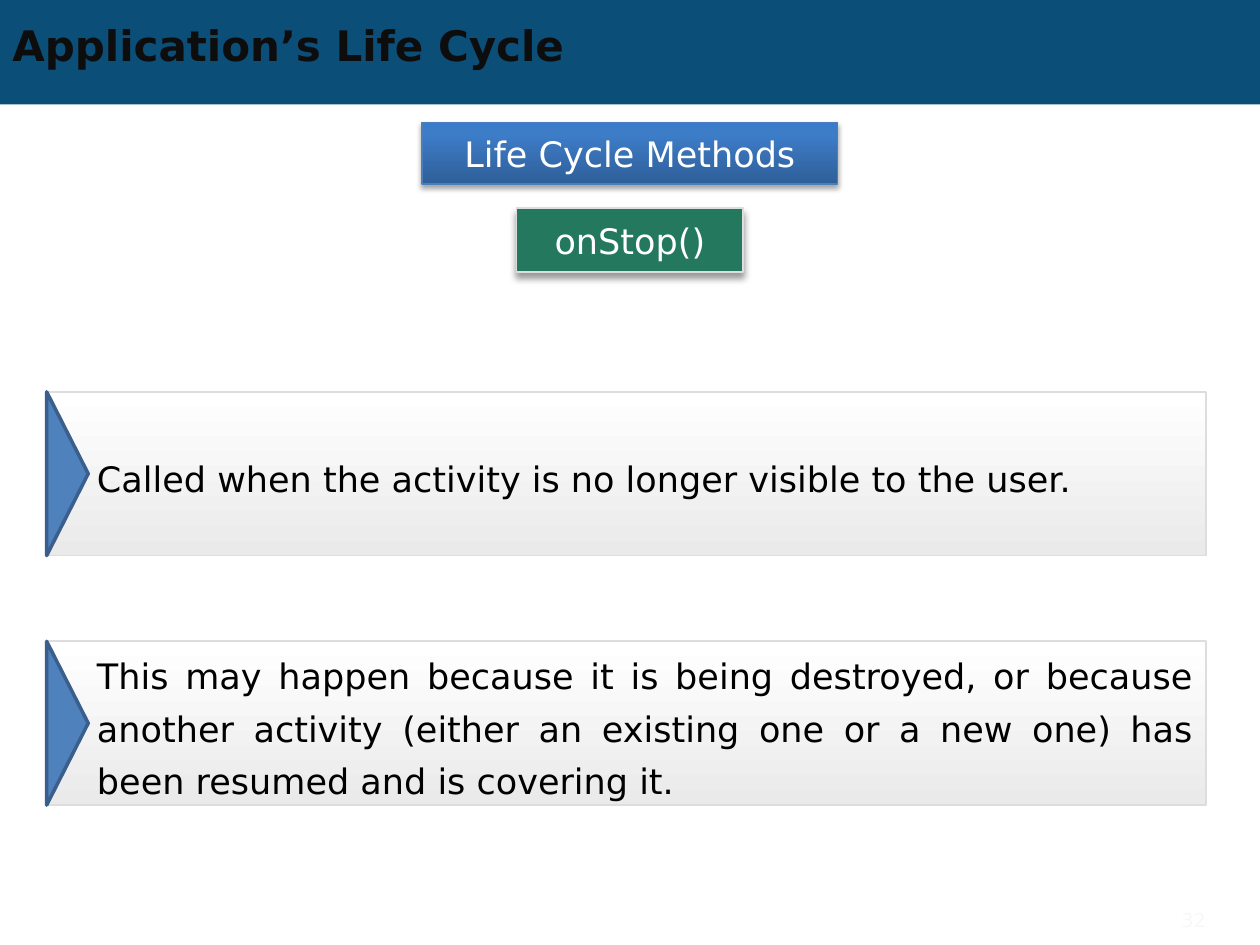
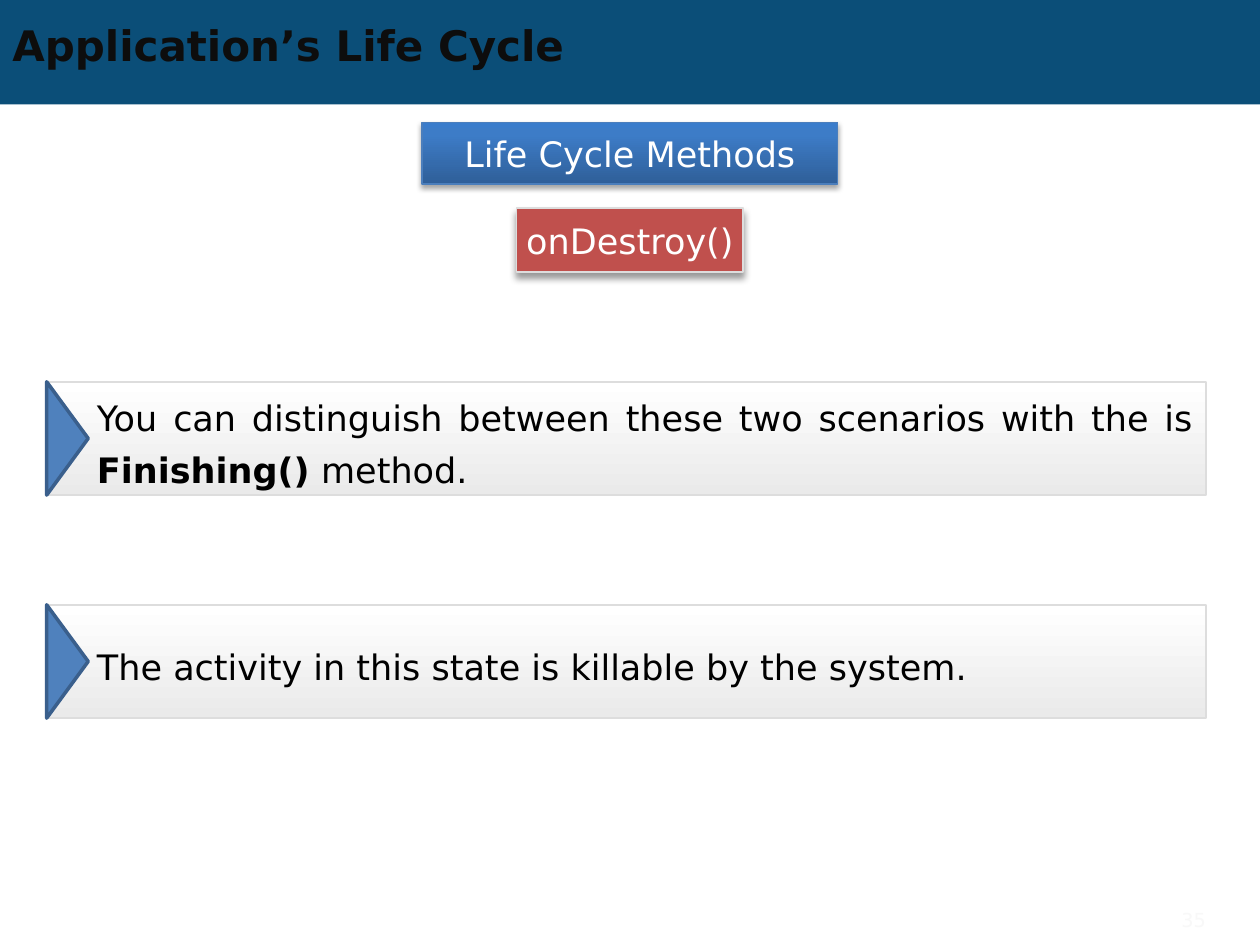
from dataclasses import dataclass

from lxml import etree
from pptx import Presentation
from pptx.dml.color import RGBColor
from pptx.enum import shapes, text
from pptx.oxml.ns import qn
from pptx.util import Inches, Pt

FONT = "DejaVu Sans"
BAND, TITLE, PAGE_NUMBER = "0B4E78", "0D0D0D", "F8F8F8"
WHITE, BLACK, GREY_LINE = "FFFFFF", "000000", "DDDDDD"
ARROW, ARROW_LINE = "4F81BD", "3A5F8C"
HEADING_LINE = "4B7EBC"
GREEN, RED = "24785E", "C0504D"
HEADING_STOPS = ((0, "2F5F99"), (80, "3D7CC7"), (100, "3A7CCB"))
PANEL_STOPS = ((0, "FFFFFF"), (100, "EAEAEA"))
PANEL_LEFT, PANEL_WIDTH, ARROW_DEPTH = 0.37, 9.2, 0.33
RECT = shapes.MSO_SHAPE.RECTANGLE
TRIANGLE = shapes.MSO_SHAPE.ISOSCELES_TRIANGLE
ALIGN = text.PP_ALIGN


@dataclass(frozen=True)
class Box:
    left: float
    top: float
    width: float
    height: float

    def emu(self) -> tuple:
        return tuple(Inches(v) for v in (self.left, self.top, self.width, self.height))


@dataclass(frozen=True)
class Shadow:
    opacity: int
    blur: float
    distance: float


@dataclass(frozen=True)
class Phrase:
    text: str
    bold: bool = False


@dataclass(frozen=True)
class Panel:
    top: float
    phrases: tuple


@dataclass(frozen=True)
class MethodSlide:
    method: str
    colour: str
    panel_height: float
    panels: tuple
    number: int


SLIDES = (
    MethodSlide("onStop()", GREEN, 1.3, (
        Panel(3.11, (Phrase("Called when the activity is no longer visible to the user."),)),
        Panel(5.09, (Phrase("This may happen because it is being destroyed, or because "
                            "another activity (either an existing one or a new one) has "
                            "been resumed and is covering it."),)),
    ), 32),
    MethodSlide("onDestroy()", RED, 0.9, (
        Panel(3.03, (Phrase("You can distinguish between these two scenarios with the is "),
                     Phrase("Finishing()", True), Phrase(" method."))),
        Panel(4.8, (Phrase("The activity in this state is killable by the system."),)),
    ), 35),
)


def rgb(colour: str) -> RGBColor:
    return RGBColor.from_string(colour)


def add_shape(parent, kind, box: Box, line: str | None = None, weight: float = 1):
    sp = parent.add_shape(kind, *box.emu())
    sp.shadow.inherit = False
    if line:
        sp.line.color.rgb = rgb(line)
        sp.line.width = Pt(weight)
    else:
        sp.line.fill.background()
    return sp


def fill_solid(sp, colour: str) -> None:
    sp.fill.solid()
    sp.fill.fore_color.rgb = rgb(colour)


def fill_gradient(sp, stops: tuple, angle: int) -> None:
    sp.fill.gradient()
    sp.fill.gradient_angle = angle
    stop_list = sp._element.spPr.find(qn("a:gradFill")).find(qn("a:gsLst"))
    for old in list(stop_list):
        stop_list.remove(old)
    for position, colour in stops:
        stop = etree.SubElement(stop_list, qn("a:gs"), pos=str(position * 1000))
        etree.SubElement(stop, qn("a:srgbClr"), val=colour)


def add_shadow(sp, shadow: Shadow) -> None:
    effects = sp._element.spPr.find(qn("a:effectLst"))
    outer = etree.SubElement(effects, qn("a:outerShdw"), blurRad=str(Pt(shadow.blur)),
                             dist=str(Pt(shadow.distance)), dir="5400000",
                             rotWithShape="0")
    colour = etree.SubElement(outer, qn("a:srgbClr"), val=BLACK)
    etree.SubElement(colour, qn("a:alpha"), val=str(shadow.opacity * 1000))


def write(sp, phrases: tuple, size: float, colour: str, align=ALIGN.LEFT,
          insets: tuple = (0.1, 0.1)):
    tf = sp.text_frame
    tf.word_wrap = True
    tf.vertical_anchor = text.MSO_ANCHOR.MIDDLE
    tf.margin_left, tf.margin_right = (Inches(v) for v in insets)
    tf.margin_top = tf.margin_bottom = 0
    p = tf.paragraphs[0]
    p.alignment = align
    for phrase in phrases:
        r = p.add_run()
        r.text = phrase.text
        r.font.name = FONT
        r.font.size = Pt(size)
        r.font.bold = phrase.bold
        r.font.color.rgb = rgb(colour)
    return p


def add_label(s, box: Box, label: str, line: str, weight: float, shadow: Shadow,
              inset: float):
    sp = add_shape(s.shapes, RECT, box, line, weight)
    add_shadow(sp, shadow)
    write(sp, (Phrase(label),), 20, WHITE, ALIGN.CENTER, (inset, inset))
    return sp


def add_panel(s, panel: Panel, height: float) -> None:
    group = s.shapes.add_group_shape().shapes
    sp = add_shape(group, RECT, Box(PANEL_LEFT, panel.top, PANEL_WIDTH, height), GREY_LINE)
    fill_gradient(sp, PANEL_STOPS, 270)
    p = write(sp, panel.phrases, 20, BLACK, ALIGN.JUSTIFY, (0.4, 0.1))
    p.line_spacing = Pt(30)
    shift = (height - ARROW_DEPTH) / 2
    arrow_box = Box(PANEL_LEFT - shift, panel.top + shift, height, ARROW_DEPTH)
    arrow = add_shape(group, TRIANGLE, arrow_box, ARROW_LINE, 2)
    arrow.rotation = 90
    fill_solid(arrow, ARROW)


def add_frame(s, number: int) -> None:
    band = add_shape(s.shapes, RECT, Box(0, 0, 10, 0.83))
    fill_solid(band, BAND)
    title = s.shapes.add_textbox(*Box(0, 0.14, 9, 0.43).emu())
    write(title, (Phrase("Application’s Life Cycle", True),), 24, TITLE)
    page = s.shapes.add_textbox(*Box(8.67, 7.15, 1, 0.3).emu())
    write(page, (Phrase(str(number)),), 11, PAGE_NUMBER, ALIGN.RIGHT)


def add_method_slide(prs, content: MethodSlide) -> None:
    s = prs.slides.add_slide(prs.slide_layouts[6])
    add_frame(s, content.number)
    heading = add_label(s, Box(3.35, 0.97, 3.3, 0.49), "Life Cycle Methods",
                        HEADING_LINE, 0.75, Shadow(35, 3.1, 1.8), 0.1)
    fill_gradient(heading, HEADING_STOPS, 90)
    method = add_label(s, Box(4.1, 1.65, 1.8, 0.51), content.method,
                       GREY_LINE, 1, Shadow(40, 4, 3), 0)
    fill_solid(method, content.colour)
    for panel in content.panels:
        add_panel(s, panel, content.panel_height)


def main() -> None:
    prs = Presentation()
    prs.slide_width, prs.slide_height = Inches(10), Inches(7.5)
    for content in SLIDES:
        add_method_slide(prs, content)
    prs.save("out.pptx")


if __name__ == "__main__":
    main()
